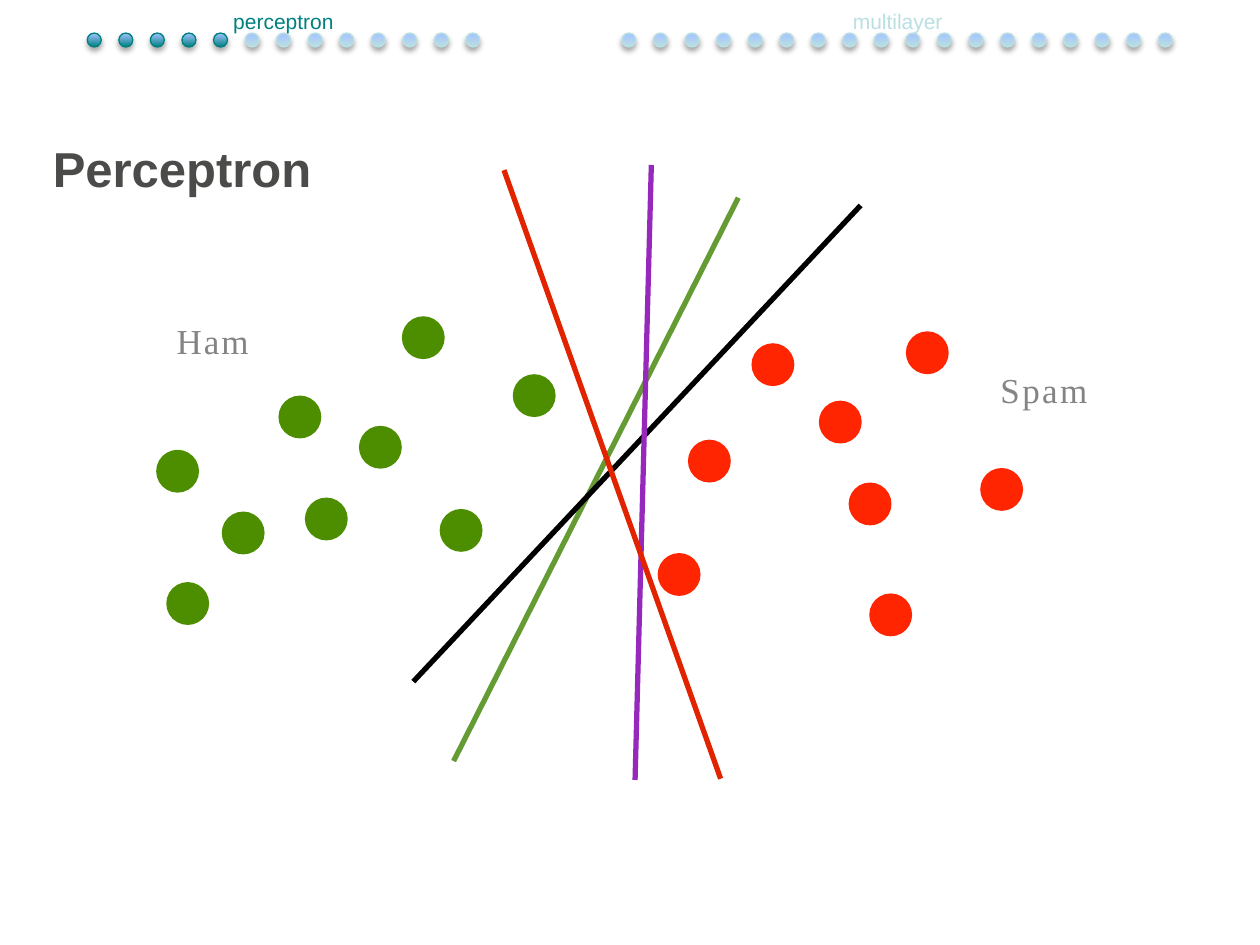
"""Build the perceptron slide: candidate lines separating ham from spam."""
from lxml.etree import SubElement
from pptx import Presentation
from pptx.dml.color import RGBColor
from pptx.enum.shapes import MSO_CONNECTOR as Connector, MSO_SHAPE as Shape
from pptx.enum.text import MSO_ANCHOR as Anchor, MSO_AUTO_SIZE as AutoSize, PP_ALIGN as Align
from pptx.oxml.ns import qn
from pptx.util import Pt

COLORS = {
    "ham": "4D8E00", "spam": "FE2500", "title": "4B4C4A", "label": "848484",
    "done": "008080", "ahead": "BADFE2", "glow": "A4C4FF", "shadow": "000000",
    "green": "649B33", "black": "000000", "purple": "9728BC", "red": "E12300",
}


def rgb(color):
    return RGBColor.from_string(COLORS[color])


class Deck:
    """Holds the style and the current slide."""

    sample_size = 24.5
    step_size = 8
    step_gap = 18.03
    step_top = 18.9
    line_width = 3

    def __init__(self):
        self.prs = Presentation()
        self.prs.slide_width, self.prs.slide_height = Pt(720), Pt(540)
        self.slide = self.prs.slides.add_slide(self.prs.slide_layouts[5])
        self.shapes = self.slide.shapes

    def set_text(self, box, words, font, size, color, align=Align.LEFT, bold=False):
        frame = box.text_frame
        frame.margin_left = frame.margin_right = frame.margin_top = frame.margin_bottom = 0
        frame.word_wrap = True
        frame.auto_size = AutoSize.NONE
        frame.vertical_anchor = Anchor.TOP
        paragraph = frame.paragraphs[0]
        paragraph.text = words
        paragraph.alignment = align
        paragraph.font.name, paragraph.font.size = font, Pt(size)
        paragraph.font.bold = bold
        paragraph.font.color.rgb = rgb(color)
        return paragraph

    def title(self, words, left, top, width, height):
        heading = self.shapes.title
        heading.left, heading.top, heading.width, heading.height = map(Pt, (left, top, width, height))
        self.set_text(heading, words, "Arial", 28, "title", bold=True)

    def label(self, words, left, top, tracking):
        box = self.shapes.add_textbox(Pt(left), Pt(top), Pt(72), Pt(24.5))
        paragraph = self.set_text(box, words, "Times New Roman", 20, "label")
        paragraph.line_spacing = 1.08
        paragraph.runs[0]._r.get_or_add_rPr().set("spc", str(round(tracking * 100)))

    def circle(self, left, top, size):
        circle = self.shapes.add_shape(Shape.OVAL, Pt(left), Pt(top), Pt(size), Pt(size))
        circle.shadow.inherit = False
        return circle

    def sample(self, x, y, color):
        half = self.sample_size / 2
        dot = self.circle(x - half, y - half, self.sample_size)
        dot.fill.solid()
        dot.fill.fore_color.rgb = rgb(color)
        dot.line.fill.background()

    def boundary(self, start, end, color):
        line = self.shapes.add_connector(Connector.STRAIGHT, *map(Pt, start + end))
        line.line.width = Pt(self.line_width)
        line.line.color.rgb = rgb(color)
        SubElement(line._element.spPr, qn("a:effectLst"))

    def step(self, left, color):
        dot = self.circle(left, self.step_top, self.step_size)
        dot.fill.gradient()
        dot.fill.gradient_angle = 90
        for stop, tint in zip(dot.fill.gradient_stops, (color, "glow")):
            stop.color.rgb = rgb(tint)
        dot.line.color.rgb = rgb(color)
        dot.line.width = Pt(0.75)
        effects = dot._element.spPr.find(qn("a:effectLst"))
        shadow = SubElement(effects, qn("a:outerShdw"), blurRad=str(Pt(3.1)),
                            dist=str(Pt(1.8)), dir="5400000", rotWithShape="0")
        shade = SubElement(shadow, qn("a:srgbClr"), val=COLORS["shadow"])
        SubElement(shade, qn("a:alpha"), val="35000")

    def progress(self, words, left, width, first, count, done):
        for index in range(count):
            self.step(first + index * self.step_gap, "done" if index < done else "ahead")
        box = self.shapes.add_textbox(Pt(left), Pt(5), Pt(width), Pt(14.4))
        self.set_text(box, words, "Arial", 12, "done" if done else "ahead", Align.CENTER)


SAMPLES = {
    "ham": [(171.4, 238.3), (101.5, 269.3), (241.9, 193), (217.4, 255.6), (186.5, 296.6),
            (139, 304.6), (107.3, 344.9), (263.5, 303.1), (305.3, 226.1)],
    "spam": [(441.7, 208.4), (480.2, 241.2), (405.4, 263.5), (388.1, 328.3),
             (529.9, 201.6), (497.2, 288), (572.4, 279.7), (509, 351.4)],
}
BOUNDARIES = {
    "green": ((421.9, 113), (259.2, 434.9)),
    "black": ((491.8, 117.4), (236.2, 389.5)),
    "purple": ((372.2, 94.3), (362.9, 445.7)),
    "red": ((288, 97.2), (411.8, 445)),
}

deck = Deck()
deck.title("Perceptron", 30.2, 79.2, 200, 34)
for group, centers in SAMPLES.items():
    for x, y in centers:
        deck.sample(x, y, group)
for color, (start, end) in BOUNDARIES.items():
    deck.boundary(start, end, color)
deck.label("Ham", 101, 180.7, 1.1)
deck.label("Spam", 571.7, 208.8, 1.4)
deck.progress("perceptron", 0, 324, 49.9, 13, 5)
deck.progress("multilayer", 306, 414, 355.4, 18, 0)
deck.prs.save("out.pptx")
